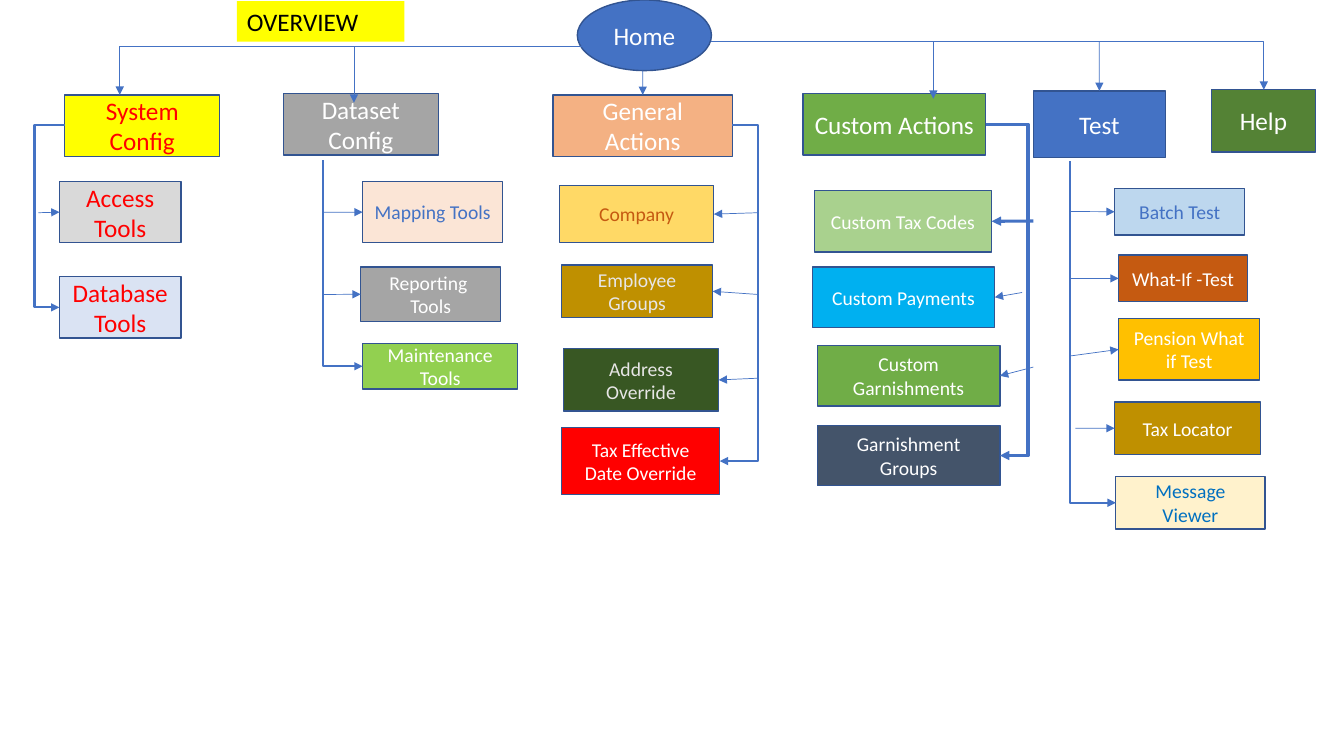
from pptx import Presentation
from pptx.dml.color import RGBColor
from pptx.enum.shapes import MSO_CONNECTOR, MSO_SHAPE
from pptx.enum.text import MSO_ANCHOR, PP_ALIGN
from pptx.oxml.ns import qn
from pptx.util import Cm, Pt
from lxml import etree

RECTANGLE, OVAL = MSO_SHAPE.RECTANGLE, MSO_SHAPE.OVAL
STRAIGHT, ELBOW = MSO_CONNECTOR.STRAIGHT, MSO_CONNECTOR.ELBOW
CENTER, LEFT_ALIGN = PP_ALIGN.CENTER, PP_ALIGN.LEFT
MIDDLE, UPPER = MSO_ANCHOR.MIDDLE, MSO_ANCHOR.TOP
TOP, LEFT, RIGHT = 0, 1, 3
FONT = "Calibri"
THIN, MEDIUM, THICK = 0.5, 1.5, 2.25

WHITE = RGBColor(0xFF, 0xFF, 0xFF)
BLACK = RGBColor(0x00, 0x00, 0x00)
YELLOW = RGBColor(0xFF, 0xFF, 0x00)
RED = RGBColor(0xFF, 0x00, 0x00)
BLUE = RGBColor(0x44, 0x72, 0xC4)
EDGE = RGBColor(0x32, 0x54, 0x91)
GRAY = RGBColor(0xA5, 0xA5, 0xA5)
SILVER = RGBColor(0xD9, 0xD9, 0xD9)
MIST = RGBColor(0xE7, 0xE6, 0xE6)
ICE = RGBColor(0xDA, 0xE3, 0xF3)
PALE_BLUE = RGBColor(0xBD, 0xD7, 0xEE)
SKY = RGBColor(0x00, 0xB0, 0xF0)
OCEAN = RGBColor(0x00, 0x70, 0xC0)
SLATE = RGBColor(0x44, 0x54, 0x6A)
PEACH = RGBColor(0xFB, 0xE5, 0xD6)
SALMON = RGBColor(0xF4, 0xB1, 0x83)
RUST = RGBColor(0xC5, 0x5A, 0x11)
CREAM = RGBColor(0xFF, 0xF2, 0xCC)
SAND = RGBColor(0xFF, 0xD9, 0x66)
AMBER = RGBColor(0xFF, 0xC0, 0x00)
OCHRE = RGBColor(0xBF, 0x90, 0x00)
LIME = RGBColor(0x92, 0xD0, 0x50)
PALE_GREEN = RGBColor(0xA9, 0xD1, 0x8E)
GREEN = RGBColor(0x70, 0xAD, 0x47)
DARK_GREEN = RGBColor(0x54, 0x82, 0x35)
FOREST = RGBColor(0x38, 0x57, 0x23)

# All places are in centimetres: left, top, width, height.
TITLE = ("OVERVIEW", (5.97, 0.03, 4.22, 1.02))
HOME = ("Home", (14.55, 0, 3.38, 1.78))
HEADS = [
    ("System Config", (1.63, 2.39, 3.91, 1.55), YELLOW, RED),
    ("Dataset Config", (7.14, 2.36, 3.91, 1.55), GRAY, WHITE),
    ("General Actions", (13.94, 2.39, 4.52, 1.55), SALMON, WHITE),
    ("Custom Actions", (20.24, 2.36, 4.6, 1.55), GREEN, WHITE),
    ("Test", (26.04, 2.29, 3.33, 1.68), BLUE, WHITE),
    ("Help", (30.53, 2.26, 2.62, 1.57), DARK_GREEN, WHITE),
]
# Rails leave Home sideways, then turn down: start, end.
RAILS = [((15.9, 1.17), (3.02, 2.39)), ((17.93, 1.04), (31.85, 2.26))]
# Drops that run past the top edge of a head: start, end.
DROPS = [((8.92, 1.17), (8.92, 2.59)), ((23.52, 1.07), (23.52, 2.49))]
# Drops that meet the middle of a head's top: head, start.
JOINED_DROPS = [("General Actions", (16.2, 1.78)), ("Test", (27.7, 1.04))]

# Each trunk ends at the last item; the others have an arrow with its own start and weight.
BRANCHES = [
    dict(start=(1.63, 3.16), trunk=0.87, weight=MEDIUM, side=LEFT, size=18, items=[
        ("Access Tools", (1.5, 4.57, 3.06, 1.55), SILVER, RED, (0.97, 5.36), THIN),
        ("Database Tools", (1.5, 6.97, 3.06, 1.55), ICE, RED)]),
    dict(start=(8.13, 4.04), trunk=8.13, weight=MEDIUM, side=LEFT, size=14, items=[
        ("Mapping Tools", (9.14, 4.57, 3.53, 1.55), PEACH, BLUE, (8.13, 5.35), THIN),
        ("Reporting \vTools", (9.09, 6.73, 3.53, 1.37), GRAY, WHITE, (8.13, 7.42), THIN),
        ("Maintenance Tools", (9.14, 8.66, 3.91, 1.14), LIME, WHITE)]),
    dict(start=(18.46, 3.16), trunk=19.1, weight=MEDIUM, side=RIGHT, size=14, items=[
        ("Company", (14.1, 4.67, 3.89, 1.45), SAND, RUST, (19.1, 5.36), THIN),
        ("Employee Groups", (14.15, 6.68, 3.81, 1.32), OCHRE, MIST, (19.1, 7.42), THIN),
        ("Address Override", (14.2, 8.79, 3.91, 1.57), FOREST, MIST, (19.1, 9.53), THIN),
        ("Tax Effective Date Override", (14.15, 10.77, 3.99, 1.7), RED, WHITE)]),
    dict(start=(24.84, 3.13), trunk=25.91, weight=THICK, side=RIGHT, size=14, items=[
        ("Custom Tax Codes", (20.52, 4.8, 4.47, 1.55), PALE_GREEN, WHITE, (26.04, 5.57), THICK),
        ("Custom Payments", (20.47, 6.73, 4.6, 1.52), SKY, WHITE, (25.76, 7.37), THIN),
        ("Custom Garnishments", (20.6, 8.71, 4.6, 1.52), GREEN, WHITE, (26.04, 9.25), THIN),
        ("Garnishment Groups", (20.6, 10.72, 4.6, 1.52), SLATE, WHITE)]),
    dict(start=(26.97, 4.06), trunk=26.97, weight=MEDIUM, side=LEFT, size=14, items=[
        ("Batch Test", (28.09, 4.75, 3.28, 1.17), PALE_BLUE, BLUE, (26.97, 5.33), THIN),
        ("What-If -Test", (28.19, 6.43, 3.25, 1.17), RUST, WHITE, (26.97, 7.02), THIN),
        ("Pension What if Test", (28.19, 8.03, 3.56, 1.55), AMBER, WHITE, (26.97, 8.97), THIN),
        ("Tax Locator", (28.09, 10.13, 3.68, 1.32), OCHRE, WHITE, (27.1, 10.79), THIN),
        ("Message Viewer", (28.12, 12.01, 3.76, 1.32), CREAM, OCEAN)]),
]

deck = Presentation()
deck.slide_width, deck.slide_height = Cm(33.87), Cm(19.05)
page = deck.slides.add_slide(deck.slide_layouts[6])


def write(box, text, size=18, color=WHITE, align=CENTER, anchor=MIDDLE):
    frame = box.text_frame
    frame.word_wrap = True
    frame.vertical_anchor = anchor
    para = frame.paragraphs[0]
    para.text = text
    para.alignment = align
    for span in para.runs:
        span.font.name, span.font.size = FONT, Pt(size)
        span.font.color.rgb = color


def add_box(text, place, fill, color, size=18, shape=RECTANGLE):
    box = page.shapes.add_shape(shape, *map(Cm, place))
    box.shadow.inherit = False
    box.fill.solid()
    box.fill.fore_color.rgb = fill
    box.line.color.rgb = EDGE
    box.line.width = Pt(1)
    write(box, text, size, color)
    return box


def add_arrow(start, end, weight=THIN, kind=STRAIGHT):
    arrow = page.shapes.add_connector(kind, *map(Cm, start + end))
    arrow.line.color.rgb = BLUE
    arrow.line.width = Pt(weight)
    properties = arrow._element.spPr
    etree.SubElement(properties.find(qn("a:ln")), qn("a:tailEnd"), type="triangle")
    etree.SubElement(properties, qn("a:effectLst"))
    return arrow


def add_rail(start, end):
    """Elbow with one turn: sideways, then down."""
    rail = add_arrow(start, end, kind=ELBOW)
    rail._element.spPr.find(qn("a:prstGeom")).set("prst", "bentConnector2")


def add_trunk(start, end, trunk, weight):
    """Elbow whose upright part stands at x = trunk."""
    arrow = add_arrow(start, end, weight, ELBOW)
    bend = round((trunk - start[0]) / (end[0] - start[0]) * 100000)
    guides = arrow._element.spPr.find(qn("a:prstGeom")).find(qn("a:avLst"))
    etree.SubElement(guides, qn("a:gd"), name="adj1", fmla=f"val {bend}")


def side_middle(place, side):
    left, top, width, height = place
    return (left if side == LEFT else left + width, top + height / 2)


heads = {head[0]: add_box(*head) for head in HEADS}
add_box(*HOME, BLUE, WHITE, shape=OVAL)
for start, end in RAILS:
    add_rail(start, end)
for start, end in DROPS:
    add_arrow(start, end)
for name, start in JOINED_DROPS:
    add_arrow(start, start).end_connect(heads[name], TOP)

for branch in BRANCHES:
    side = branch["side"]
    for text, place, fill, color, *arrow in branch["items"]:
        box = add_box(text, place, fill, color, branch["size"])
        end = side_middle(place, side)
        if arrow:
            start, weight = arrow
            add_arrow(start, end, weight).end_connect(box, side)
        else:
            add_trunk(branch["start"], end, branch["trunk"], branch["weight"])

title_text, title_place = TITLE
title = page.shapes.add_textbox(*map(Cm, title_place))
title.fill.solid()
title.fill.fore_color.rgb = YELLOW
write(title, title_text, color=BLACK, align=LEFT_ALIGN, anchor=UPPER)

deck.save("out.pptx")
